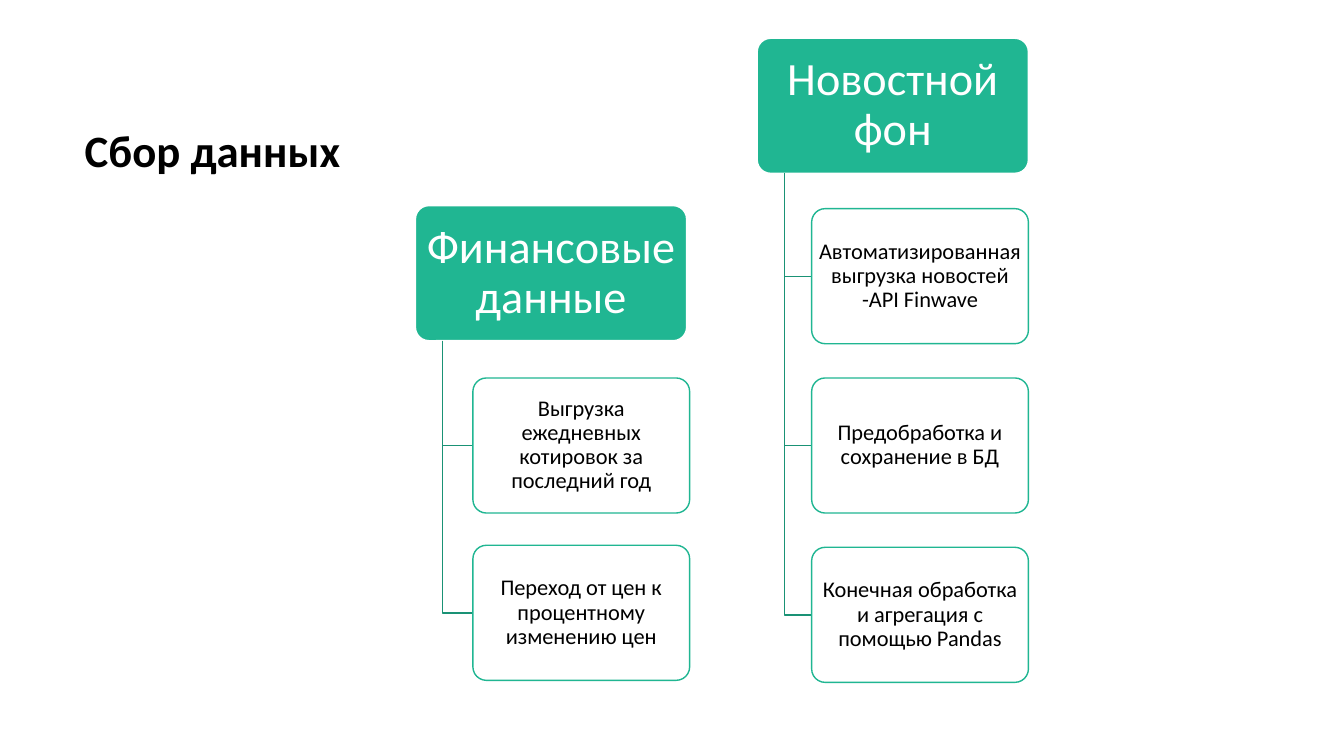
import pptx
import pptx.dml.color
import pptx.enum.shapes
import pptx.enum.text
import pptx.oxml
import pptx.util
from lxml import etree

EMU_PER_PX = 9144  # 100 px to the inch
FONT = "Calibri"
GREEN, DARK_GREEN, WHITE, BLACK = "20B692", "1A9275", "FFFFFF", "000000"
HEADER_WIDTH, CARD_WIDTH, BOX_HEIGHT = 269, 215, 134
TRUNK_INDENT = 27

# left, top, card indent, first card top, card pitch, heading, cards
COLUMNS = [
    (412, 204, 57, 375, 166, "Финансовые данные", [
        "Выгрузка ежедневных котировок за последний год",
        "Переход от цен к процентному изменению цен",
    ]),
    (751, 38, 54, 207, 168, "Новостной фон", [
        "Автоматизированная выгрузка новостей -API Finwave",
        "Предобработка и сохранение в БД",
        "Конечная обработка и агрегация с помощью Pandas",
    ]),
]


def px(length):
    return pptx.util.Emu(length * EMU_PER_PX)


def color(value):
    return pptx.dml.color.RGBColor.from_string(value)


def set_line(shape, value):
    shape.line.color.rgb = color(value)
    shape.line.width = pptx.util.Pt(1)
    shape.shadow.inherit = False


def set_font(paragraph, size, value, bold=False):
    paragraph.font.name = FONT
    paragraph.font.size = pptx.util.Pt(size)
    paragraph.font.bold = bold
    paragraph.font.color.rgb = color(value)


def add_title(slide, left, top, width, height, text):
    title = slide.shapes.title
    title.left, title.top, title.width, title.height = map(px, (left, top, width, height))
    frame = title.text_frame
    frame.text = text
    frame.word_wrap = True
    frame.vertical_anchor = pptx.enum.text.MSO_ANCHOR.MIDDLE
    paragraph = frame.paragraphs[0]
    paragraph.alignment = pptx.enum.text.PP_ALIGN.LEFT
    set_font(paragraph, 32, BLACK, bold=True)


def add_box(slide, left, top, width, text, size, fill, line, text_color, insets):
    box = slide.shapes.add_shape(
        pptx.enum.shapes.MSO_SHAPE.ROUNDED_RECTANGLE,
        px(left), px(top), px(width), px(BOX_HEIGHT))
    box.adjustments[0] = 0.1
    box.fill.solid()
    box.fill.fore_color.rgb = color(fill)
    set_line(box, line)
    frame = box.text_frame
    frame.word_wrap = True
    frame.vertical_anchor = pptx.enum.text.MSO_ANCHOR.MIDDLE
    frame.margin_left = frame.margin_right = px(insets[0])
    frame.margin_top = frame.margin_bottom = px(insets[1])
    frame.text = text
    paragraph = frame.paragraphs[0]
    paragraph.alignment = pptx.enum.text.PP_ALIGN.CENTER
    paragraph.line_spacing = 0.9
    set_font(paragraph, size, text_color)
    return box


def add_card(slide, left, top, text):
    card = add_box(slide, left, top, CARD_WIDTH, text, 16, WHITE, GREEN, BLACK, (3, 2))
    # Slightly transparent fill
    fill_color = card.fill._xPr.find(".//" + pptx.oxml.ns.qn("a:srgbClr"))
    etree.SubElement(fill_color, pptx.oxml.ns.qn("a:alpha"), val="90000")


def add_branch(slide, trunk, top, right, bottom):
    builder = slide.shapes.build_freeform(trunk, top, scale=EMU_PER_PX)
    builder.add_line_segments([(trunk, bottom), (right, bottom)], close=False)
    branch = builder.convert_to_shape()
    branch.fill.background()
    set_line(branch, DARK_GREEN)


def add_column(slide, left, top, indent, first_top, pitch, heading, cards):
    add_box(slide, left, top, HEADER_WIDTH, heading, 33, GREEN, WHITE, WHITE, (7, 5))
    card_left = left + indent
    for index, text in enumerate(cards):
        card_top = first_top + index * pitch
        add_branch(slide, left + TRUNK_INDENT, top + BOX_HEIGHT,
                   card_left, card_top + BOX_HEIGHT // 2)
        add_card(slide, card_left, card_top, text)


def main():
    presentation = pptx.Presentation()
    presentation.slide_width, presentation.slide_height = px(1333), px(750)
    slide = presentation.slides.add_slide(presentation.slide_layouts[5])

    # Title
    add_title(slide, 74, 73, 344, 150, "Сбор данных")

    # Hierarchy columns
    for column in COLUMNS:
        add_column(slide, *column)

    presentation.save("out.pptx")


if __name__ == "__main__":
    main()
